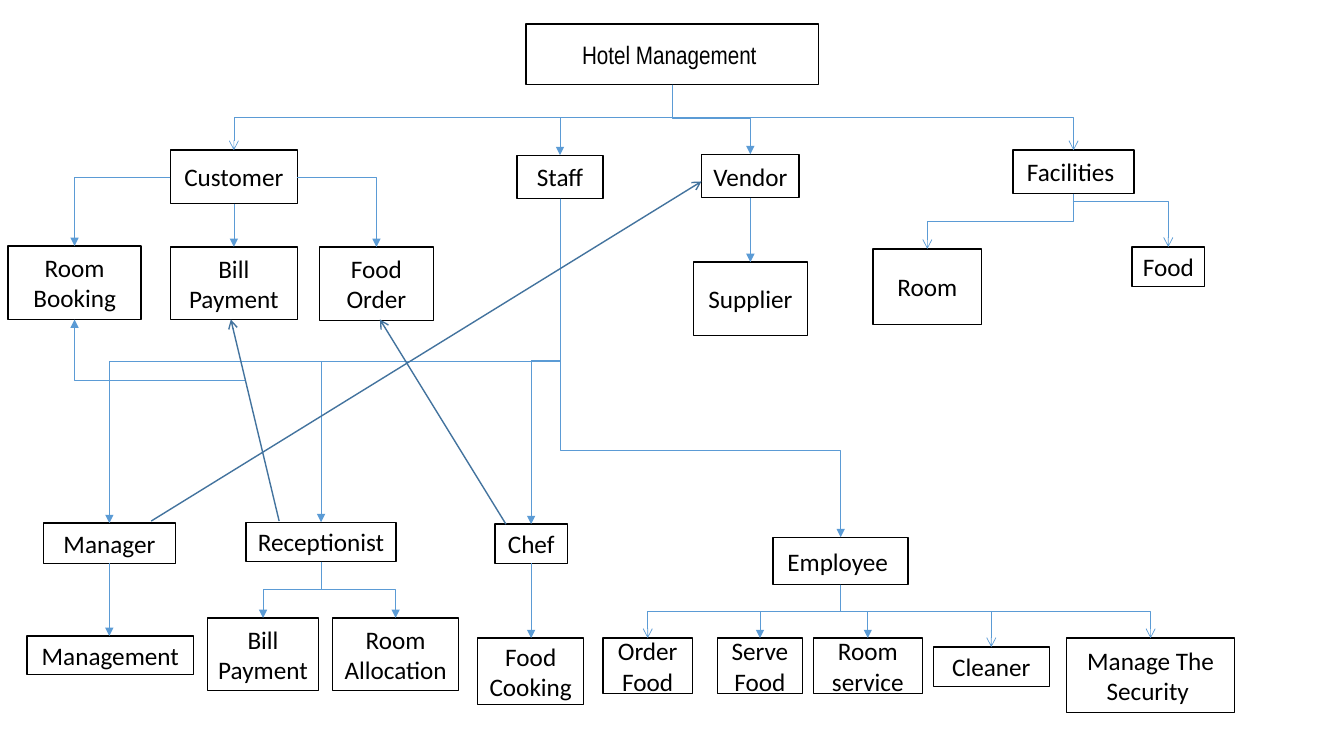
from dataclasses import dataclass

from pptx import Presentation
from pptx import util as u
from pptx.dml.color import RGBColor
from pptx.enum import shapes, text
from pptx.oxml.ns import qn
from lxml import etree


@dataclass(frozen=True)
class Theme:
    """Colours, fonts and sizes in points."""
    paper: str = "FFFFFF"
    ink: str = "000000"
    branch: str = "5B9BD5"
    link: str = "43739E"
    font: str = "Calibri"
    title_font: str = "Arial Narrow"
    size: float = 18
    box_line: float = 1
    branch_line: float = 0.5
    link_line: float = 1


T = Theme()
C = shapes.MSO_CONNECTOR

BOXES = {
    "hotel": ("Hotel Management ", 375.8, 17.3, 208.8, 43.2),
    "customer": ("Customer", 121.7, 107.3, 90.7, 38.2),
    "facilities": ("Facilities ", 723.6, 107.3, 86.4, 31),
    "staff": ("Staff", 369.4, 110.9, 61.2, 31),
    "vendor": ("Vendor", 501.1, 110.2, 69.8, 31),
    "food_order": ("Food Order", 228.2, 176.4, 81.4, 52.6),
    "bill": ("Bill Payment", 121.7, 176.4, 90.7, 51.8),
    "booking": ("Room Booking", 5.8, 175.7, 95, 52.6),
    "room": ("Room", 623.5, 177.8, 77.8, 54),
    "food": ("Food", 808.6, 176.4, 51.8, 28.1),
    "supplier": ("Supplier", 495.4, 187.2, 81.4, 52.6),
    "manager": ("Manager", 31, 373.7, 94.3, 28.8),
    "receptionist": ("Receptionist", 175.7, 373, 107.3, 28.1),
    "chef": ("Chef", 353.5, 374.4, 51.8, 28.1),
    "employee": ("Employee ", 552.2, 383.8, 96.5, 33.8),
    "management": ("Management", 19.4, 454.3, 118.8, 27.4),
    "desk_bill": ("Bill Payment", 148.3, 441.4, 79.2, 51.8),
    "allocation": ("Room Allocation", 237.6, 441.4, 90, 51.8),
    "cooking": ("Food Cooking", 341.3, 455.8, 75.6, 47.5),
    "order": ("Order Food", 430.6, 455.8, 64.1, 39.6),
    "serve": ("Serve Food", 512.6, 455.8, 60.5, 39.6),
    "service": ("Room service", 581, 455.8, 77.8, 39.6),
    "cleaner": ("Cleaner", 666.7, 462.2, 82.8, 28.1),
    "security": ("Manage The Security ", 761.8, 455.8, 120.2, 53.3),
}

BRANCHES = [
    ("hotel", 84.2, {"staff": "triangle", "vendor": "triangle",
                     "customer": "arrow", "facilities": "arrow"}),
    ("staff", 257.8, {"manager": "triangle", "receptionist": "triangle",
                      "chef": "triangle"}),
    ("staff", 321.8, {"employee": "triangle"}),
    ("facilities", 158.4, {"room": "arrow"}),
    ("receptionist", 421.2, {"desk_bill": "triangle", "allocation": "triangle"}),
    ("employee", 437, {"order": "arrow", "serve": "triangle", "service": "triangle",
                       "cleaner": "arrow", "security": "arrow"}),
]

DROPS = [("customer", "bill"), ("vendor", "supplier"),
         ("manager", "management"), ("chef", "cooking")]

LINKS = [((108, 372.2), (501.1, 129.6)),
         ((361.4, 374.4), (271.4, 228.2)),
         ((199.4, 372.2), (164.9, 228.2))]


def port(name, side):
    """Return the middle of one side of a box."""
    _, x, y, w, h = BOXES[name]
    return {"top": (x + w / 2, y), "bottom": (x + w / 2, y + h),
            "left": (x, y + h / 2), "right": (x + w, y + h / 2)}[side]


def add_box(s, key):
    """Add one labelled box."""
    label, *frame = BOXES[key]
    sp = s.shapes.add_shape(shapes.MSO_SHAPE.RECTANGLE, *map(u.Pt, frame))
    sp.shadow.inherit = False
    sp.fill.solid()
    sp.fill.fore_color.rgb = RGBColor.from_string(T.paper)
    sp.line.color.rgb = RGBColor.from_string(T.ink)
    sp.line.width = u.Pt(T.box_line)
    tf = sp.text_frame
    tf.word_wrap = True
    tf.vertical_anchor = text.MSO_ANCHOR.MIDDLE
    p = tf.paragraphs[0]
    p.alignment = text.PP_ALIGN.CENTER
    r = p.add_run()
    r.text = label
    r.font.name = T.title_font if key == "hotel" else T.font
    r.font.size = u.Pt(T.size)
    r.font.color.rgb = RGBColor.from_string(T.ink)


def add_arrow(s, kind, start, end, head, color=T.branch, width=T.branch_line):
    """Add a connector with an arrowhead at its end."""
    cx = s.shapes.add_connector(kind, *map(u.Pt, (*start, *end)))
    cx.line.color.rgb = RGBColor.from_string(color)
    cx.line.width = u.Pt(width)
    pr = cx.element.spPr
    etree.SubElement(pr.find(qn("a:ln")), qn("a:tailEnd"), type=head)
    etree.SubElement(pr, qn("a:effectLst"))
    return cx


def add_corner(s, start, end, head):
    """Add a connector that runs sideways and then turns once."""
    cx = add_arrow(s, C.ELBOW, start, end, head)
    cx.element.spPr.find(qn("a:prstGeom")).set("prst", "bentConnector2")


def add_step(s, start, end, bend_y, head):
    """Add a connector that runs down, across at bend_y, and down again."""
    (x1, y1), (x2, y2) = start, end
    mx, my = (x1 + x2) / 2, (y1 + y2) / 2
    w, h = y2 - y1, abs(x2 - x1)
    left, right = mx - w / 2, mx + w / 2
    if x2 > x1:
        left, right = right, left
    cx = add_arrow(s, C.ELBOW, (left, my - h / 2), (right, my + h / 2), head)
    pr = cx.element.spPr
    pr.find(qn("a:xfrm")).set("rot", "16200000" if x2 > x1 else "5400000")
    av = pr.find(qn("a:prstGeom")).find(qn("a:avLst"))
    ratio = round((bend_y - y1) / w * 100000)
    etree.SubElement(av, qn("a:gd"), name="adj1", fmla=f"val {ratio}")


def main():
    """Build the hotel hierarchy slide."""
    prs = Presentation()
    prs.slide_width, prs.slide_height = u.Pt(960), u.Pt(540)
    s = prs.slides.add_slide(prs.slide_layouts[6])
    for key in BOXES:
        add_box(s, key)
    for parent, bend_y, children in BRANCHES:
        for child, head in children.items():
            add_step(s, port(parent, "bottom"), port(child, "top"), bend_y, head)
    for parent, child in DROPS:
        x, y = port(parent, "bottom")
        add_arrow(s, C.STRAIGHT, (x, y), (x, port(child, "top")[1]), "triangle")
    add_corner(s, port("customer", "right"), port("food_order", "top"), "triangle")
    add_corner(s, port("customer", "left"), port("booking", "top"), "triangle")
    add_corner(s, (766.1, 144), port("food", "top"), "arrow")
    add_corner(s, (175.7, 271.4), port("booking", "bottom"), "triangle")
    for start, end in LINKS:
        add_arrow(s, C.STRAIGHT, start, end, "arrow", T.link, T.link_line)
    prs.save("out.pptx")


main()
